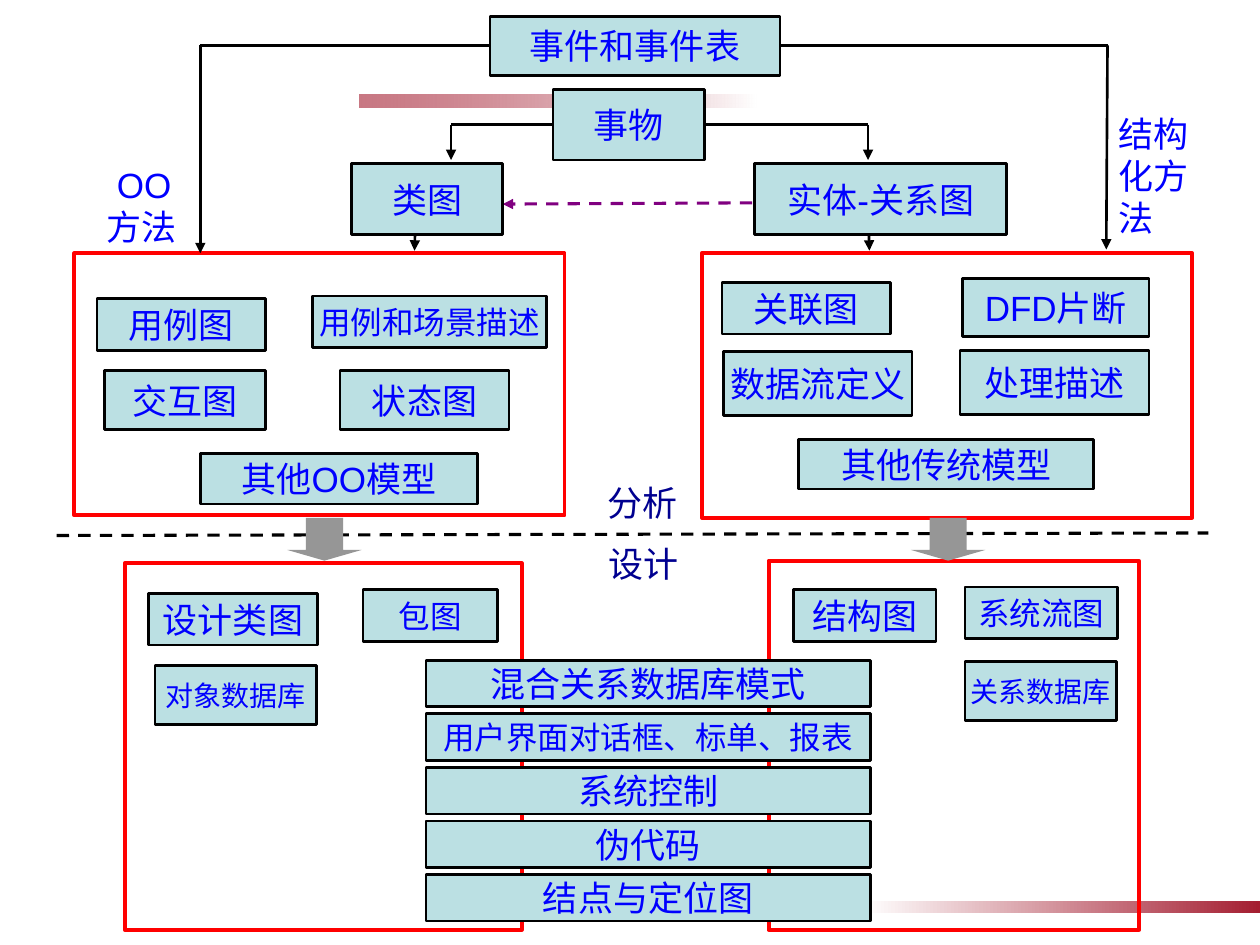
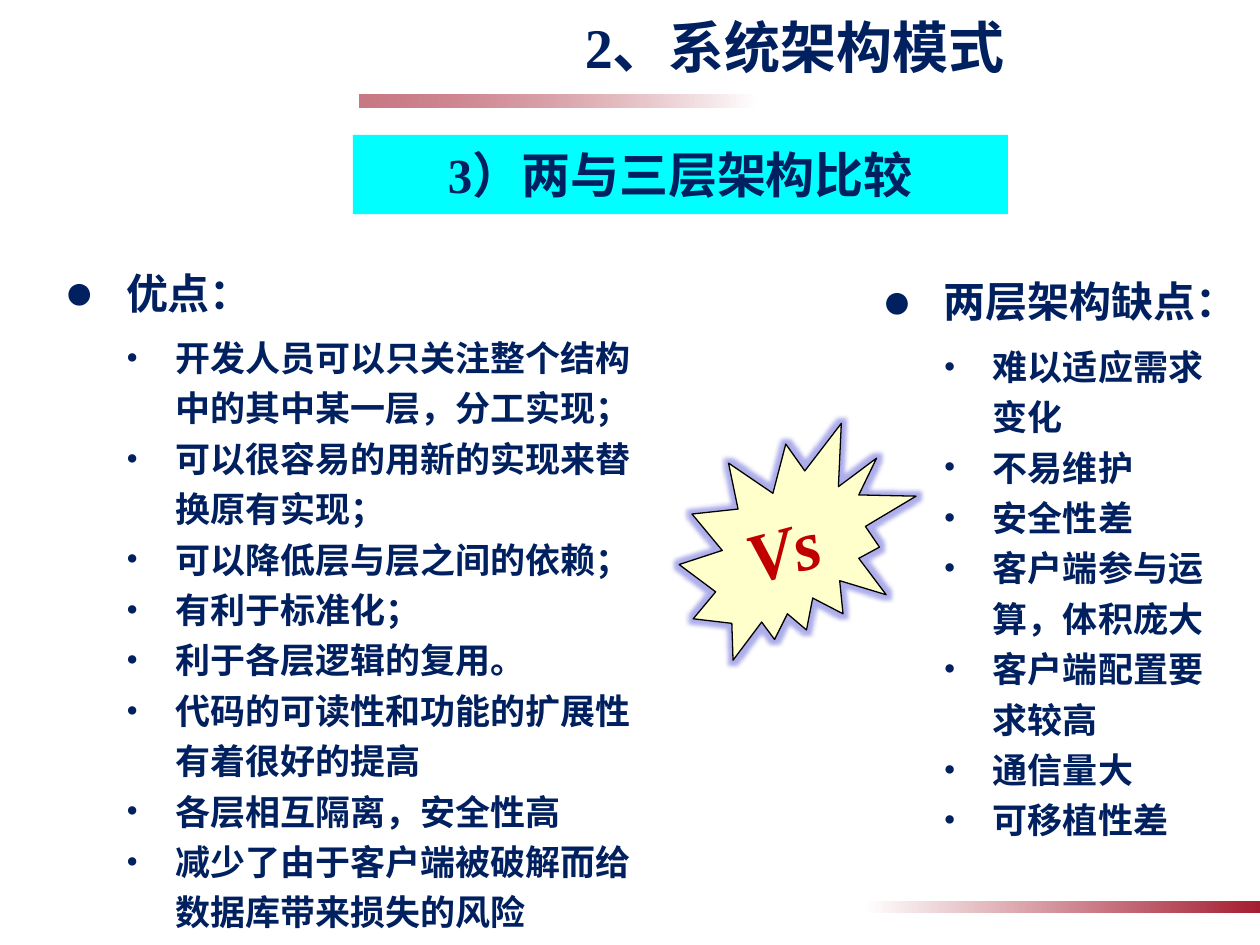
import pptx
import pptx.util
import pptx.dml.color
import pptx.enum.dml
import pptx.enum.shapes
import pptx.enum.text
from lxml import etree
from pptx.oxml.ns import qn

Inches, Pt = pptx.util.Inches, pptx.util.Pt
SHAPE = pptx.enum.shapes.MSO_SHAPE
ALIGN = pptx.enum.text.PP_ALIGN
ANCHOR = pptx.enum.text.MSO_ANCHOR

COLORS = {
    "band": "A41E31", "white": "FFFFFF", "black": "000000", "box": "BBE0E3",
    "label": "0000FF", "frame": "FF0000", "phase": "000090", "link": "800080",
    "arrow": "969696", "navy": "002060", "cyan": "00FFFF", "seal": "FFFFCC",
    "versus": "C00000", "glow": "3333CC",
}

FRAMES = [
    (0.59, 2.01, 3.89, 2.08), (5.57, 2.01, 3.89, 2.1),
    (0.99, 4.47, 3.15, 2.91), (6.1, 4.45, 2.94, 2.93),
]
MODELS = [
    ("事件和事件表", 3.89, 0.13, 2.3, 0.47, 20),
    ("事物", 4.39, 0.71, 1.2, 0.56, 20),
    ("类图", 2.79, 1.3, 1.2, 0.56, 20),
    ("实体-关系图", 5.99, 1.3, 2, 0.56, 20),
    ("用例图", 0.77, 2.37, 1.34, 0.41, 20),
    ("用例和场景描述", 2.48, 2.35, 1.86, 0.41, 18),
    ("交互图", 0.83, 2.94, 1.28, 0.47, 20),
    ("状态图", 2.7, 2.94, 1.34, 0.47, 20),
    ("其他OO模型", 1.59, 3.6, 2.2, 0.4, 20),
    ("关联图", 5.73, 2.24, 1.34, 0.41, 20),
    ("DFD片断", 7.64, 2.21, 1.48, 0.46, 20),
    ("数据流定义", 5.74, 2.79, 1.5, 0.51, 20),
    ("处理描述", 7.62, 2.78, 1.5, 0.51, 20),
    ("设计类图", 1.18, 4.71, 1.34, 0.41, 20),
    ("包图", 2.88, 4.68, 1.07, 0.41, 18),
    ("对象数据库", 1.23, 5.28, 1.28, 0.47, 16),
    ("结构图", 6.3, 4.68, 1.13, 0.41, 20),
    ("系统流图", 7.66, 4.66, 1.21, 0.41, 18),
    ("关系数据库", 7.66, 5.25, 1.2, 0.47, 16),
]
SHARED_MODELS = [
    ("混合关系数据库模式", 20), ("用户界面对话框、标单、报表", 18),
    ("系统控制", 20), ("伪代码", 20), ("结点与定位图", 20),
]
SHARED_LEFT, SHARED_TOP, SHARED_STEP = 3.38, 5.24, 0.425
PLAIN_LINES = [
    (6.19, 0.36, 8.79, 0.36), (1.59, 0.36, 3.89, 0.36),
    (5.59, 0.99, 6.89, 0.99), (3.58, 0.99, 4.39, 0.99),
]
ARROWS = [
    (8.79, 0.36, 8.78, 1.98), (1.59, 0.36, 1.59, 2.01),
    (6.89, 0.99, 6.89, 1.27), (3.58, 0.99, 3.58, 1.27),
    (6.89, 1.66, 6.9, 1.99), (3.3, 1.67, 3.29, 1.99),
]
NOTES = [
    (["OO", "方法"], (0.75, 1.25, 0.94, 0.77), "label"),
    (["结构化方法"], (8.78, 0.84, 0.91, 1.11), "label"),
    (["分析"], (4.72, 3.77, 0.9, 0.43), "phase"),
    (["设计"], (4.73, 4.26, 0.9, 0.43), "phase"),
]
DOWN_ARROW_LEFTS = (2.28, 7.23)

TITLE = "2、系统架构模式"
SUBTITLE = "3）两与三层架构比较"
LISTS = [
    ((-0.08, 1.99, 5.31, 5.75), "优点：", [
        "开发人员可以只关注整个结构中的其中某一层，分工实现；",
        "可以很容易的用新的实现来替换原有实现；",
        "可以降低层与层之间的依赖；",
        "有利于标准化；",
        "利于各层逻辑的复用。",
        "代码的可读性和功能的扩展性有着很好的提高",
        "各层相互隔离，安全性高",
        "减少了由于客户端被破解而给数据库带来损失的风险",
    ]),
    ((6.41, 2.06, 3.28, 5.75), "两层架构缺点：", [
        "难以适应需求变化",
        "不易维护",
        "安全性差",
        "客户端参与运算，体积庞大",
        "客户端配置要求较高",
        "通信量大",
        "可移植性差",
    ]),
]


def rgb(name):
    return pptx.dml.color.RGBColor.from_string(COLORS[name])


def add_element(parent, tag, **attributes):
    return etree.SubElement(parent, qn(tag), attributes)


def add_span(para, text, size, color, font="Times New Roman", bold=True, italic=False):
    span = para.add_run()
    span.text = text
    span.font.name, span.font.size = font, Pt(size)
    span.font.bold, span.font.italic = bold, italic
    span.font.color.rgb = rgb(color)


def add_box(page, place, fill=None, line=None, width=1.5, kind=SHAPE.RECTANGLE):
    box = page.shapes.add_shape(kind, *map(Inches, place))
    box.shadow.inherit = False
    if fill:
        box.fill.solid()
        box.fill.fore_color.rgb = rgb(fill)
    else:
        box.fill.background()
    if line:
        box.line.color.rgb = rgb(line)
        box.line.width = Pt(width)
    else:
        box.line.fill.background()
    return box


def add_model(page, text, place, size):
    frame = add_box(page, place, "box", "black").text_frame
    frame.word_wrap = False
    frame.vertical_anchor = ANCHOR.MIDDLE
    para = frame.paragraphs[0]
    para.alignment = ALIGN.CENTER
    font = "Comic Neue" if text == "其他传统模型" else "Arial"
    add_span(para, text, size, "label", font, bold=False)


def add_line(page, ends, color="black", width=1.5, dashed=False, arrow=False):
    line = page.shapes.add_connector(
        pptx.enum.shapes.MSO_CONNECTOR.STRAIGHT, *map(Inches, ends))
    line.line.color.rgb = rgb(color)
    line.line.width = Pt(width)
    if dashed:
        line.line.dash_style = pptx.enum.dml.MSO_LINE.DASH
    if arrow:
        add_element(line.line._get_or_add_ln(), "a:tailEnd", type="triangle")
    add_element(line._element.spPr, "a:effectLst")


def add_bands(page):
    for place, turn, alpha in (((2.85, 0.75, 3.15, 0.1), 180, "60000"),
                               ((6.85, 7.15, 3.15, 0.1), 0, "100000")):
        band = add_box(page, place)
        band.rotation = turn
        band.fill.gradient()
        band.fill.gradient_angle = 0
        for stop, position, color in zip(band.fill.gradient_stops, (0, 1), ("white", "band")):
            stop.position = position
            stop.color.rgb = rgb(color)
        tint = band._element.spPr.findall(".//" + qn("a:srgbClr"))[-1]
        add_element(tint, "a:alpha", val=alpha)


def place_frame(shape, place):
    shape.left, shape.top, shape.width, shape.height = map(Inches, place)
    frame = shape.text_frame
    frame.word_wrap = True
    frame.auto_size = pptx.enum.text.MSO_AUTO_SIZE.NONE
    frame.vertical_anchor = ANCHOR.TOP
    return frame


def add_bullet(para, left, hang, mark, percent):
    properties = para._p.get_or_add_pPr()
    properties.set("marL", str(Inches(left)))
    properties.set("indent", str(-Inches(hang)))
    add_element(properties, "a:buSzPct", val=str(percent * 1000))
    add_element(properties, "a:buFont", typeface="Times New Roman")
    add_element(properties, "a:buChar", char=mark)


def fill_list(shape, place, heading, points):
    frame = place_frame(shape, place)
    for index, text in enumerate([heading] + points):
        para = frame.add_paragraph() if index else frame.paragraphs[0]
        para.level = 1 if index else 0
        para.alignment = ALIGN.LEFT
        para.line_spacing = 1.2
        para.space_before = Pt(0)
        para.space_after = Pt(0 if index else 6)
        add_bullet(para, *((1.37, 0.39, "•", 100) if index else (0.98, 0.49, "●", 120)))
        add_span(para, text, 20 if index else 24, "navy")


def build_model_map(deck):
    page = deck.slides.add_slide(deck.slide_layouts[6])
    add_bands(page)
    for place in FRAMES:
        add_box(page, place, line="frame", width=2.25)
    for ends in PLAIN_LINES:
        add_line(page, ends)
    for ends in ARROWS:
        add_line(page, ends, arrow=True)
    add_line(page, (5.97, 1.61, 3.99, 1.62), "link", 1.75, dashed=True, arrow=True)
    add_line(page, (0.45, 4.25, 9.59, 4.23), width=1.75, dashed=True)
    for text, left, top, width, height, size in MODELS:
        add_model(page, text, (left, top, width, height), size)
    add_model(page, "其他传统模型", (6.34, 3.49, 2.34, 0.39), 20)
    for row, (text, size) in enumerate(SHARED_MODELS):
        add_model(page, text, (SHARED_LEFT, SHARED_TOP + row * SHARED_STEP, 3.53, 0.37), size)
    for lines, place, color in NOTES:
        frame = place_frame(page.shapes.add_textbox(0, 0, 0, 0), place)
        for index, text in enumerate(lines):
            para = frame.add_paragraph() if index else frame.paragraphs[0]
            if text == "OO":
                para._p.get_or_add_pPr().set("indent", str(Inches(0.08)))
            add_span(para, text, 20, color, "Arial", bold=False)
    for left in DOWN_ARROW_LEFTS:
        arrow = add_box(page, (left, 4.11, 0.59, 0.34), "arrow", kind=SHAPE.DOWN_ARROW)
        arrow.adjustments[0], arrow.adjustments[1] = 0.5, 0.25


def build_comparison(deck):
    page = deck.slides.add_slide(deck.slide_layouts[3])
    add_bands(page)
    title, *bodies = page.placeholders
    frames = [place_frame(title, (2.87, 0.05, 6.88, 0.64))]
    subtitle = add_box(page, (2.8, 1.07, 5.2, 0.63), "cyan")
    frames.append(place_frame(subtitle, (2.8, 1.07, 5.2, 0.63)))
    frames[1].margin_top = frames[1].margin_bottom = Inches(0.08)
    for frame, text, size in zip(frames, (TITLE, SUBTITLE), (32, 28)):
        frame.paragraphs[0].alignment = ALIGN.CENTER
        add_span(frame.paragraphs[0], text, size, "navy")
    for body, (place, heading, points) in zip(bodies, LISTS):
        fill_list(body, place, heading, points)

    seal = add_box(page, (5.39, 3.36, 1.88, 1.88), "seal", "black", 0.75, SHAPE.EXPLOSION2)
    effects = seal._element.spPr.find(qn("a:effectLst"))
    glow = add_element(effects, "a:glow", rad=str(Pt(5)))
    tint = add_element(glow, "a:srgbClr", val=COLORS["glow"])
    add_element(tint, "a:alpha", val="40000")
    versus = page.shapes.add_textbox(0, 0, 0, 0)
    frame = place_frame(versus, (5.82, 3.97, 0.79, 0.77))
    frame.word_wrap = False
    versus.rotation = 345.1
    frame.paragraphs[0].alignment = ALIGN.CENTER
    add_span(frame.paragraphs[0], "Vs", 40, "versus", italic=True)


def main():
    deck = pptx.Presentation()
    deck.slide_width, deck.slide_height = Inches(10), Inches(7.5)
    build_model_map(deck)
    build_comparison(deck)
    deck.save("out.pptx")


if __name__ == "__main__":
    main()
